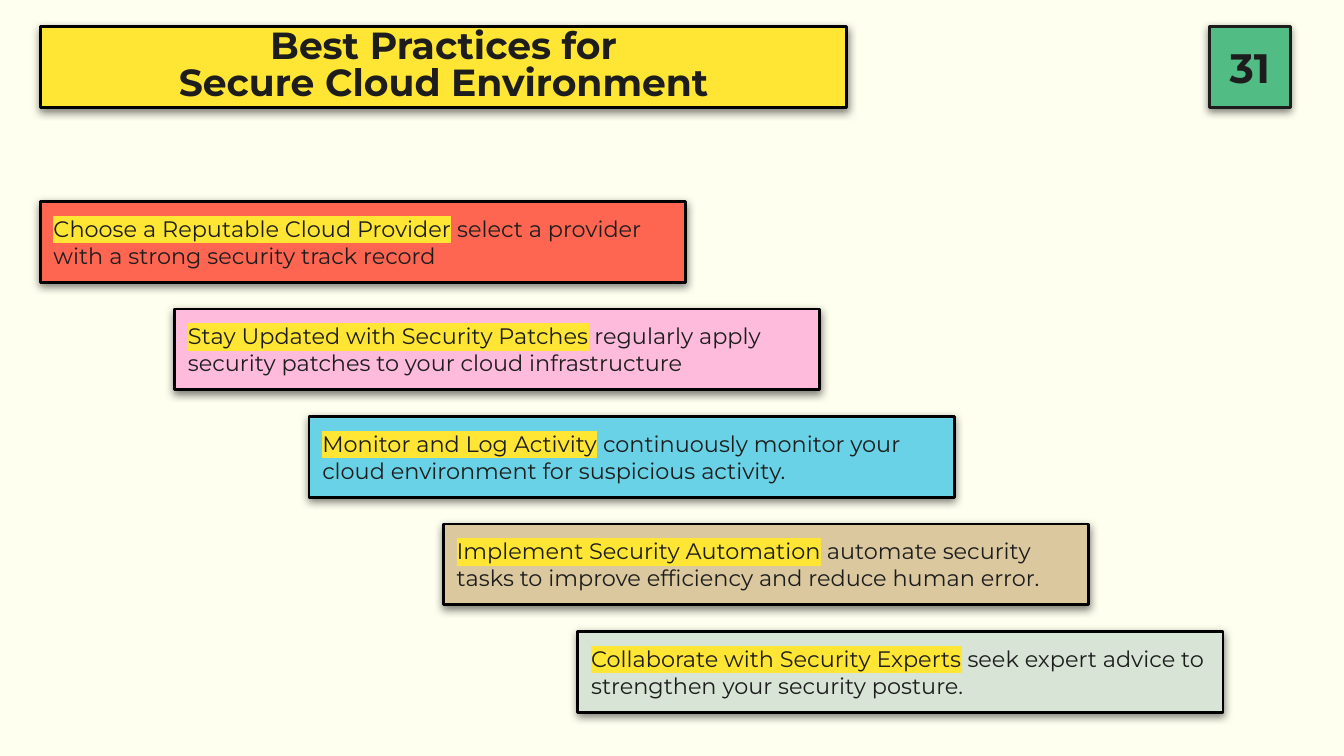
from dataclasses import dataclass

from lxml import etree
from pptx import Presentation
from pptx import util as u
from pptx.dml.color import RGBColor
from pptx.enum import shapes, text
from pptx.oxml.ns import qn


@dataclass(frozen=True)
class Theme:
    font: str = "Montserrat"
    back: str = "FFFFF0"
    ink: str = "1D1D1D"
    edge: str = "000000"
    mark: str = "FFE534"
    badge: str = "51BD85"
    title: float = 20.2
    number: float = 22
    body: float = 12


THEME = Theme()
WIDE = 10  # inches, on a 16:9 slide
CELL = 0.1  # inches per grid column and row
HIGH = 6  # rows in every box

STEPS = [
    ("Choose a Reputable Cloud Provider",
     " select a provider with a strong security track record", "FF6652"),
    ("Stay Updated with Security Patches",
     " regularly apply security patches to your cloud infrastructure", "FFBBDC"),
    ("Monitor and Log Activity",
     " continuously monitor your cloud environment for suspicious activity.", "6AD2E6"),
    ("Implement Security Automation",
     " automate security tasks to improve efficiency and reduce human error.", "DBC89F"),
    ("Collaborate with Security Experts",
     " seek expert advice to strengthen your security posture.", "D8E4D6"),
]


def grid(count):
    return u.Inches(round(count * CELL, 2))


def apply(item, **values):
    for name, value in values.items():
        setattr(item, name, value)


def paint(fill, color):
    fill.solid()
    fill.fore_color.rgb = RGBColor.from_string(color)


def shade(shape):
    """Give the shape a soft half-clear shadow just below it."""
    shape.shadow.inherit = False
    effects = shape._element.spPr.find(qn("a:effectLst"))
    drop = etree.SubElement(
        effects, qn("a:outerShdw"), blurRad=str(u.Pt(4.5)), dist=str(u.Pt(1.5)),
        dir="5400000", algn="bl", rotWithShape="0")
    color = etree.SubElement(drop, qn("a:srgbClr"), val=THEME.edge)
    etree.SubElement(color, qn("a:alpha"), val="50000")


def style(shape, fill, edge=THEME.edge):
    paint(shape.fill, fill)
    paint(shape.line.fill, edge)
    shape.line.width = u.Pt(1.5)
    shade(shape)
    inset = grid(1)
    apply(shape.text_frame, word_wrap=True, auto_size=text.MSO_AUTO_SIZE.NONE,
          vertical_anchor=text.MSO_ANCHOR.MIDDLE, margin_left=inset,
          margin_right=inset, margin_top=inset, margin_bottom=inset)


def add_box(slide, col, row, wide, fill, edge=THEME.edge):
    box = slide.shapes.add_shape(
        shapes.MSO_SHAPE.RECTANGLE, grid(col), grid(row), grid(wide), grid(HIGH))
    style(box, fill, edge)
    return box


def format_run(run, size, bold=False, mark=None):
    apply(run.font, name=THEME.font, size=u.Pt(size), bold=bold)
    paint(run.font.fill, THEME.ink)
    if mark:
        light = etree.Element(qn("a:highlight"))
        etree.SubElement(light, qn("a:srgbClr"), val=mark)
        run._r.get_or_add_rPr().find(qn("a:solidFill")).addnext(light)


def add_title(slide, words):
    title = slide.shapes.title
    apply(title, left=grid(3), top=grid(2), width=grid(60), height=grid(HIGH))
    style(title, THEME.mark)
    title.text_frame.text = words
    para = title.text_frame.paragraphs[0]
    apply(para, alignment=text.PP_ALIGN.CENTER, line_spacing=0.8, space_before=u.Pt(0))
    for run in para.runs:
        format_run(run, THEME.title, bold=True)


def add_badge(slide, number):
    badge = add_box(slide, 90, 2, HIGH, THEME.badge, THEME.ink)
    para = badge.text_frame.paragraphs[0]
    para.alignment = text.PP_ALIGN.CENTER
    run = para.add_run()
    run.text = number
    format_run(run, THEME.number, bold=True)


def add_step(slide, index, lead, rest, fill):
    box = add_box(slide, 3 + 10 * index, 15 + 8 * index, 48, fill)
    para = box.text_frame.paragraphs[0]
    para.alignment = text.PP_ALIGN.LEFT
    for words, mark in ((lead, THEME.mark), (rest, None)):
        run = para.add_run()
        run.text = words
        format_run(run, THEME.body, mark=mark)


def main():
    deck = Presentation()
    apply(deck, slide_width=u.Inches(WIDE), slide_height=u.Inches(WIDE * 9 / 16))
    slide = deck.slides.add_slide(deck.slide_layouts[5])
    paint(slide.background.fill, THEME.back)
    add_title(slide, "Best Practices for\vSecure Cloud Environment")
    add_badge(slide, "31")
    for index, step in enumerate(STEPS):
        add_step(slide, index, *step)
    deck.save("out.pptx")


if __name__ == "__main__":
    main()
